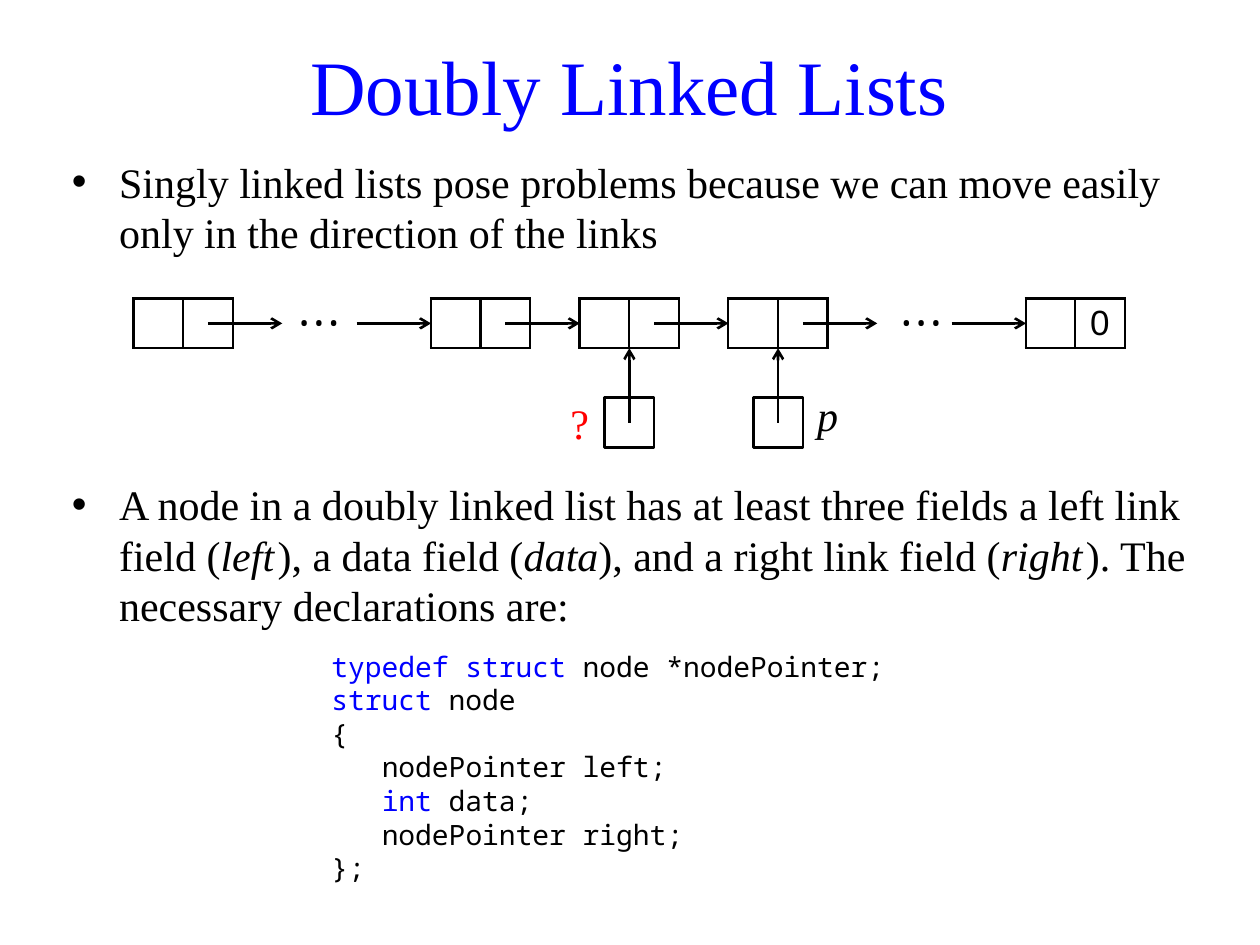
from dataclasses import dataclass

from lxml import etree
from pptx import Presentation
from pptx.dml.color import RGBColor
from pptx.enum.shapes import MSO_CONNECTOR, MSO_SHAPE
from pptx.enum.text import MSO_ANCHOR, MSO_AUTO_SIZE, PP_ALIGN
from pptx.oxml.ns import qn
from pptx.util import Inches, Pt

CENTER = PP_ALIGN.CENTER
TOP, MIDDLE, BOTTOM = MSO_ANCHOR.TOP, MSO_ANCHOR.MIDDLE, MSO_ANCHOR.BOTTOM
NO_FIT = MSO_AUTO_SIZE.NONE
STRAIGHT = MSO_CONNECTOR.STRAIGHT
RECTANGLE = MSO_SHAPE.RECTANGLE


@dataclass(frozen=True)
class Theme:
    serif: str = "Times New Roman"
    sans: str = "Arial"
    mono: str = "Noto Sans Mono"
    ink: str = "000000"
    accent: str = "0000FF"
    alert: str = "FF0000"
    title: int = 44
    body: int = 24
    null: int = 20
    code: int = 16
    dots: int = 14
    line: float = 1.5


THEME = Theme()
GAP_COLUMNS = (2, 5, 8, 11)
WIDE_COLUMNS = {2: 0.51, 11: 0.57}
CODE = [
    (0, [("typedef struct ", True), ("node *nodePointer;", False)]),
    (0, [("struct ", True), ("node", False)]),
    (0, [("{", False)]),
    (0.4, [("nodePointer left;", False)]),
    (0.4, [("int", True), (" data;", False)]),
    (0.4, [("nodePointer right;", False)]),
    (0, [("};", False)]),
]
DECLARATION = [
    ("A node in a doubly linked list has at least three fields a left link field (", False, 0),
    ("lef", True, 0), ("t", True, 2), ("), a data field (", False, 0),
    ("data", True, 0), ("), and a right link field (", False, 0),
    ("righ", True, 0), ("t", True, 2),
    ("). The necessary declarations are:", False, 0),
]


def set_font(font, name, size, color):
    font.name = name
    font.size = Pt(size)
    font.color.rgb = RGBColor.from_string(color)


def place(shape, box):
    shape.left, shape.top, shape.width, shape.height = (Inches(v) for v in box)
    shape.text_frame.auto_size = NO_FIT
    shape.text_frame.word_wrap = True
    return shape.text_frame


def fill_title(placeholder, box):
    frame = place(placeholder, box)
    frame.vertical_anchor = MIDDLE
    heading = frame.paragraphs[0]
    heading.text = "Doubly Linked Lists"
    heading.alignment = CENTER
    set_font(heading.font, THEME.serif, THEME.title, THEME.accent)


def fill_problem(placeholder, box):
    problem = place(placeholder, box).paragraphs[0]
    problem.text = ("Singly linked lists pose problems because we can move easily "
                    "only in the direction of the links")
    set_font(problem.font, THEME.serif, THEME.body, THEME.ink)


def fill_declaration(placeholder, box):
    frame = place(placeholder, box)
    intro = frame.paragraphs[0]
    set_font(intro.font, THEME.serif, THEME.body, THEME.ink)
    for words, italic, spacing in DECLARATION:
        run = intro.add_run()
        run.text = words
        run.font.italic = italic
        if spacing:
            run._r.get_or_add_rPr().set("spc", str(spacing * 100))
    for number, (indent, pieces) in enumerate(CODE):
        statement = frame.add_paragraph()
        statement.space_before = Pt(0 if number else 11)
        set_font(statement.font, THEME.mono, THEME.code, THEME.ink)
        properties = statement._p.get_or_add_pPr()
        properties.set("marL", str(Inches(2.06 + indent)))
        properties.set("indent", "0")
        properties.insert_element_before(
            properties.makeelement(qn("a:buNone")), "a:tabLst", "a:defRPr", "a:extLst")
        for words, keyword in pieces:
            run = statement.add_run()
            run.text = words
            if keyword:
                run.font.color.rgb = RGBColor.from_string(THEME.accent)


def set_borders(cell, sides):
    properties = cell._tc.get_or_add_tcPr()
    for side in "LRTB":
        border = etree.SubElement(properties, qn("a:ln" + side), w=str(Pt(THEME.line)))
        if side in sides:
            fill = etree.SubElement(border, qn("a:solidFill"))
            etree.SubElement(fill, qn("a:srgbClr"), val=THEME.ink)
        else:
            etree.SubElement(border, qn("a:noFill"))


def write_cell(cell, words, font, size):
    label = cell.text_frame.paragraphs[0]
    label.text = words
    set_font(label.font, font, size, THEME.ink)
    return label


def add_nodes(shapes, left, top, unit):
    table = shapes.add_table(1, 14, left, top, unit * 20, unit).table
    table.first_row = table.horz_banding = False
    table.rows[0].height = unit
    for index, column in enumerate(table.columns):
        column.width = unit * 4 if index in WIDE_COLUMNS else unit
        cell = table.cell(0, index)
        set_borders(cell, "LR" if index in GAP_COLUMNS else "LRTB")
        cell.fill.background()
        cell.vertical_anchor = MIDDLE
        cell.margin_left = Inches(WIDE_COLUMNS.get(index, 0.04))
        cell.margin_right = Inches(0.04)
        cell.margin_top = cell.margin_bottom = 0
        if index in WIDE_COLUMNS:
            write_cell(cell, "•••", THEME.mono, THEME.dots)
    write_cell(table.cell(0, 13), "0", THEME.sans, THEME.null).alignment = CENTER


def add_arrow(shapes, start, end):
    arrow = shapes.add_connector(STRAIGHT, *start, *end)
    arrow.line.color.rgb = RGBColor.from_string(THEME.ink)
    arrow.line.width = Pt(THEME.line)
    etree.SubElement(arrow.line._get_or_add_ln(), qn("a:tailEnd"), type="arrow")
    etree.SubElement(arrow._element.spPr, qn("a:effectLst"))


def add_pointer(shapes, left, top, unit):
    box = shapes.add_shape(RECTANGLE, left, top, unit, unit)
    box.shadow.inherit = False
    box.fill.background()
    box.line.color.rgb = RGBColor.from_string(THEME.ink)
    box.line.width = Pt(THEME.line)
    middle = left + unit // 2
    add_arrow(shapes, (middle, top + unit // 2), (middle, top - unit))


def add_label(shapes, words, left, top, unit, color, anchor, bottom, italic):
    frame = shapes.add_textbox(left, top, unit, unit).text_frame
    frame.word_wrap = False
    frame.vertical_anchor = anchor
    frame.margin_top, frame.margin_bottom = 0, Inches(bottom)
    label = frame.paragraphs[0]
    label.text = words
    label.alignment = CENTER
    set_font(label.font, THEME.serif, THEME.body, color)
    label.font.italic = italic


def add_list_diagram(shapes, box):
    left, top, width = (Inches(v) for v in box)
    unit = width // 20

    def x(steps):
        return left + int(unit * steps)

    add_nodes(shapes, left, top, unit)
    link_y = top + unit // 2
    for link in range(6):
        start = 1.5 + 3 * link
        add_arrow(shapes, (x(start), link_y), (x(start + 1.5), link_y))
    pointer_top = top + 2 * unit
    for steps in (9.5, 12.5):
        add_pointer(shapes, x(steps), pointer_top, unit)
    add_label(shapes, "?", x(8.5), pointer_top, unit, THEME.alert, TOP, 0, False)
    add_label(shapes, "p", x(13.5), pointer_top, unit, THEME.ink, BOTTOM, 0.06, True)


def main():
    deck = Presentation()
    deck.slide_width, deck.slide_height = Inches(10), Inches(7.5)
    slide = deck.slides.add_slide(deck.slide_layouts[3])
    title, problem, declaration = slide.placeholders
    fill_title(title, (0.43, 0.28, 9.13, 0.79))
    fill_problem(problem, (0.47, 1.19, 9.06, 0.98))
    fill_declaration(declaration, (0.47, 3.75, 9.06, 3.35))
    add_list_diagram(slide.shapes, (1.06, 2.37, 7.87))
    deck.save("out.pptx")


main()
